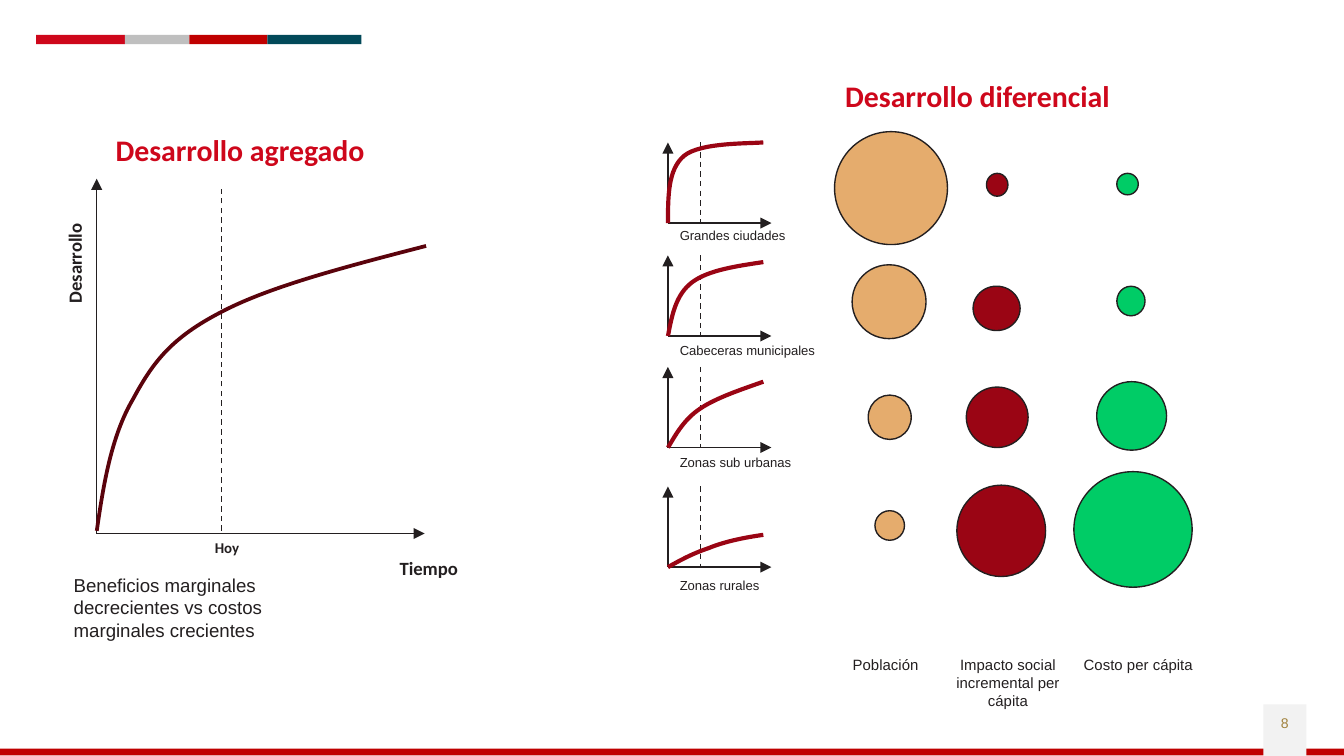
from dataclasses import dataclass
from typing import NamedTuple

from lxml import etree
from pptx import Presentation, util as u
from pptx.dml.color import RGBColor
from pptx.enum import dml, shapes, text
from pptx.oxml.ns import qn


@dataclass(frozen=True)
class Theme:
    ink: str = "231F20"
    red: str = "CE071B"
    brick: str = "C00000"
    gray: str = "BFBFBF"
    teal: str = "024959"
    pale: str = "F2F2F2"
    gold: str = "A0813C"
    wine: str = "9A0514"
    dark: str = "5A030C"
    sand: str = "E5AC6D"
    green: str = "00CC66"
    head: str = "Calibri"
    body: str = "Arial"
    title: float = 16
    note: float = 10
    label: float = 8
    page: float = 7.5
    small: float = 7
    thin: float = 0.75


T = Theme()
Point = tuple[float, float]


class Box(NamedTuple):
    x: float
    y: float
    w: float
    h: float


class Style(NamedTuple):
    size: float
    font: str = T.body
    color: str = T.ink
    bold: bool = False
    align: text.PP_ALIGN = text.PP_ALIGN.LEFT
    pad: float = 0.1
    wrap: bool = False


class Zone(NamedTuple):
    name: str
    base: float     # height of the time axis
    cap: float      # top of the caption
    curve: list[Point]
    balls: list[Box]


class Column(NamedTuple):
    name: str
    mid: float
    color: str


CENTER = text.PP_ALIGN.CENTER
HEAD = Style(T.title, T.head, T.red, True)
AXIS = Style(T.note, T.head, bold=True, align=CENTER)

COLUMNS = [
    Column("Población", 6.59, T.sand),
    Column("Impacto social incremental per cápita", 7.5, T.wine),
    Column("Costo per cápita", 8.47, T.green),
]
ZONES = [
    Zone("Grandes ciudades", 1.66, 1.64,
         [(4.97, 1.66), (4.97, 1.46), (4.97, 1.26), (5.09, 1.16),
          (5.21, 1.06), (5.57, 1.07), (5.68, 1.06)],
         [Box(6.21, 0.98, 0.84, 0.84), Box(7.34, 1.29, 0.16, 0.17),
          Box(8.31, 1.29, 0.16, 0.16)]),
    Zone("Cabeceras municipales", 2.5, 2.5,
         [(4.97, 2.5), (5, 2.34), (5.03, 2.19), (5.15, 2.1),
          (5.27, 2.01), (5.48, 1.98), (5.68, 1.95)],
         [Box(6.34, 1.97, 0.55, 0.55), Box(7.24, 2.13, 0.35, 0.33),
          Box(8.31, 2.13, 0.21, 0.22)]),
    Zone("Zonas sub urbanas", 3.33, 3.33,
         [(4.97, 3.33), (5.03, 3.23), (5.09, 3.12), (5.21, 3.04),
          (5.33, 2.96), (5.51, 2.9), (5.68, 2.84)],
         [Box(6.46, 2.94, 0.32, 0.33), Box(7.19, 2.88, 0.46, 0.45),
          Box(8.16, 2.84, 0.52, 0.51)]),
    Zone("Zonas rurales", 4.22, 4.25,
         [(4.97, 4.22), (5.06, 4.17), (5.15, 4.12), (5.27, 4.08),
          (5.39, 4.03), (5.54, 4), (5.68, 3.98)],
         [Box(6.51, 3.8, 0.22, 0.22), Box(7.12, 3.61, 0.66, 0.68),
          Box(7.99, 3.51, 0.88, 0.86)]),
]
MAIN = [(0.72, 3.95), (0.77, 3.6), (0.83, 3.24), (0.99, 2.97),
        (1.14, 2.69), (1.28, 2.51), (1.65, 2.32),
        (2.01, 2.13), (2.59, 1.98), (3.17, 1.83)]


def rgb(code: str) -> RGBColor:
    return RGBColor.from_string(code)


def inch(vals) -> list[u.Length]:
    return [u.Inches(v) for v in vals]


def write(shape, words: str, style: Style) -> None:
    frame = shape.text_frame
    frame.text = words
    frame.auto_size = text.MSO_AUTO_SIZE.NONE
    frame.word_wrap = style.wrap
    frame.vertical_anchor = text.MSO_ANCHOR.TOP
    frame.margin_left = frame.margin_right = u.Inches(0.1)
    frame.margin_top = frame.margin_bottom = u.Inches(style.pad)
    para = frame.paragraphs[0]
    para.alignment = style.align
    font = para.font
    font.name, font.size, font.bold = style.font, u.Pt(style.size), style.bold
    font.color.rgb = rgb(style.color)


def add_text(slide, box: Box, words: str, style: Style):
    shape = slide.shapes.add_textbox(*inch(box))
    write(shape, words, style)
    return shape


def add_form(slide, kind, box: Box, color: str, edge: bool = False) -> None:
    shape = slide.shapes.add_shape(kind, *inch(box))
    shape.shadow.inherit = False
    shape.fill.solid()
    shape.fill.fore_color.rgb = rgb(color)
    if edge:
        shape.line.color.rgb = rgb(T.ink)
        shape.line.width = u.Pt(T.thin)
    else:
        shape.line.fill.background()


def add_line(slide, start: Point, end: Point, arrow: bool = True) -> None:
    """Draw an arrow, or a dashed line when arrow is False."""
    line = slide.shapes.add_connector(
        shapes.MSO_CONNECTOR.STRAIGHT, *inch(start + end))
    line.line.color.rgb = rgb(T.ink)
    line.line.width = u.Pt(T.thin)
    props = line._element.spPr
    if arrow:
        etree.SubElement(props.find(qn("a:ln")), qn("a:tailEnd"), type="triangle")
    else:
        line.line.dash_style = dml.MSO_LINE.DASH
    etree.SubElement(props, qn("a:effectLst"))


def add_curve(slide, points: list[Point], color: str, width: float) -> None:
    """Turn each three points after the first into one cubic segment."""
    first, *rest = [tuple(inch(p)) for p in points]
    build = slide.shapes.build_freeform(*first)
    build.add_line_segments(rest, close=False)
    shape = build.convert_to_shape()
    steps = list(shape._element.iter(qn("a:lnTo")))
    for i in range(0, len(steps), 3):
        cubic = etree.Element(qn("a:cubicBezTo"))
        steps[i].addprevious(cubic)
        for step in steps[i:i + 3]:
            cubic.append(step[0])
            step.getparent().remove(step)
    shape.shadow.inherit = False
    shape.fill.background()
    shape.line.color.rgb = rgb(color)
    shape.line.width = u.Pt(width)


def add_frame(slide) -> None:
    rect = shapes.MSO_SHAPE.RECTANGLE
    add_form(slide, rect, Box(0, 5.57, 10, 0.05), T.brick)
    add_form(slide, rect, Box(9.4, 5.24, 0.32, 0.39), T.pale)
    left = 0.27
    for wide, color in [(0.66, T.red), (0.48, T.gray), (0.58, T.brick), (0.7, T.teal)]:
        add_form(slide, rect, Box(left, 0.26, wide, 0.07), color)
        left += wide
    add_text(slide, Box(9.4, 5.27, 0.32, 0.3), "8",
             Style(T.page, color=T.gold, align=CENTER, pad=0.05))


def add_total(slide) -> None:
    title = slide.shapes.title
    title.left, title.top, title.width, title.height = inch(Box(0.76, 0.88, 2.19, 0.45))
    write(title, "Desarrollo agregado", HEAD)
    add_line(slide, (0.72, 3.97), (0.72, 1.33))
    add_line(slide, (0.72, 3.97), (3.16, 3.97))
    add_line(slide, (1.65, 3.95), (1.65, 1.41), arrow=False)
    add_curve(slide, MAIN, T.dark, 2)
    add_text(slide, Box(1.19, 3.91, 1, 0.33), "Hoy", AXIS._replace(size=T.label))
    add_text(slide, Box(2.69, 4.04, 1, 0.37), "Tiempo", AXIS)
    add_text(slide, Box(0.02, 1.81, 1, 0.3), "Desarrollo", AXIS).rotation = 270
    add_text(slide, Box(0.45, 4.22, 1.99, 0.61),
             "Beneficios marginales decrecientes vs costos marginales crecientes",
             Style(T.note, pad=0.05, wrap=True))


def add_zones(slide) -> None:
    add_text(slide, Box(6.19, 0.48, 2.19, 0.45), "Desarrollo diferencial", HEAD)
    for zone in ZONES:
        base, top = zone.base, zone.base - 0.6
        add_line(slide, (4.97, base), (4.97, top))
        add_line(slide, (4.97, base), (5.74, base))
        add_line(slide, (5.21, top), (5.21, base), arrow=False)
        add_curve(slide, zone.curve, T.wine, 2.25)
        add_text(slide, Box(4.96, zone.cap, 1.22, 0.22), zone.name,
                 Style(T.small, pad=0.05))
        for ball, col in zip(zone.balls, COLUMNS):
            add_form(slide, shapes.MSO_SHAPE.OVAL, ball, col.color, edge=True)
    for col in COLUMNS:
        add_text(slide, Box(col.mid - 0.55, 4.78, 1.1, 0.6), col.name,
                 Style(T.label, align=CENTER, wrap=True))


def main() -> None:
    deck = Presentation()
    deck.slide_width = u.Inches(10)
    deck.slide_height = deck.slide_width * 9 // 16
    slide = deck.slides.add_slide(deck.slide_layouts[5])
    add_frame(slide)
    add_total(slide)
    add_zones(slide)
    deck.save("out.pptx")


if __name__ == "__main__":
    main()
